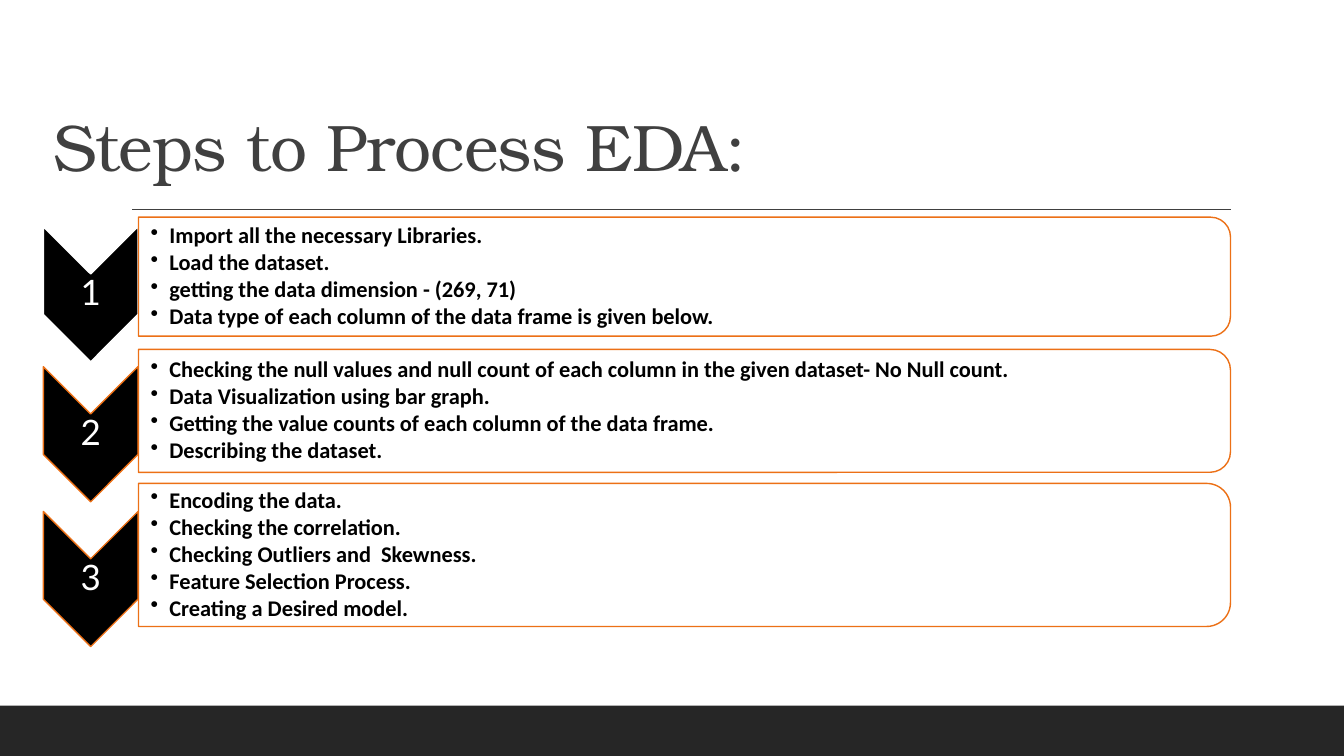
import pptx
import pptx.util
import pptx.dml.color
import pptx.enum.shapes
import pptx.enum.text
import pptx.oxml.ns
from lxml import etree

Pt = pptx.util.Pt
SHAPES = pptx.enum.shapes.MSO_SHAPE
ANCHOR = pptx.enum.text.MSO_ANCHOR
qn = pptx.oxml.ns.qn

COLORS = {name: pptx.dml.color.RGBColor.from_string(value) for name, value in {
    "white": "FFFFFF", "black": "000000", "gray": "404040",
    "footer": "262626", "orange": "EC7016"}.items()}

CHEVRON_X, CHEVRON_LENGTH, CHEVRON_WIDTH = 64.8, 96.5, 67.6
PANEL_LEFT, PANEL_WIDTH = 98.9, 780

# chevron centre, panel centre, panel height, chevron outline, bullets
STEPS = [
    (210.2, 197.6, 85, "white", [
        "Import all the necessary Libraries.",
        "Load the dataset.",
        "getting the data dimension - (269, 71)",
        "Data type of each column of the data frame is given below."]),
    (310.2, 293.5, 87.8, "orange", [
        "Checking the null values and null count of each column in the given dataset- No Null count.",
        "Data Visualization using bar graph.",
        "Getting the value counts of each column of the data frame.",
        "Describing the dataset."]),
    (413.6, 396.4, 102.2, "orange", [
        "Encoding the data.",
        "Checking the correlation.",
        "Checking Outliers and  Skewness.",
        "Feature Selection Process.",
        "Creating a Desired model."]),
]

deck = pptx.Presentation()
deck.slide_width, deck.slide_height = Pt(960), Pt(540)
page = deck.slides.add_slide(deck.slide_layouts[6])


def add_filled(kind, left, top, width, height, fill, line=None):
    shape = page.shapes.add_shape(kind, Pt(left), Pt(top), Pt(width), Pt(height))
    shape.shadow.inherit = False
    shape.fill.solid()
    shape.fill.fore_color.rgb = COLORS[fill]
    if line:
        shape.line.color.rgb = COLORS[line]
        shape.line.width = Pt(1)
    else:
        shape.line.fill.background()
    return shape


def add_text(left, top, width, height, lines, font, size, color, anchor, insets):
    """Add a text box with one paragraph per line; insets run left, top, right, bottom."""
    box = page.shapes.add_textbox(Pt(left), Pt(top), Pt(width), Pt(height))
    frame = box.text_frame
    frame.word_wrap = True
    frame.vertical_anchor = anchor
    frame.margin_left, frame.margin_top, frame.margin_right, frame.margin_bottom = map(Pt, insets)
    frame.text = "\n".join(lines)
    for para in frame.paragraphs:
        para.line_spacing = 0.9
        para.font.name = font
        para.font.size = Pt(size)
        para.font.color.rgb = COLORS[color]
    return frame.paragraphs


add_filled(SHAPES.RECTANGLE, 0, 504, 960, 36, "footer")

rule = page.shapes.add_connector(
    pptx.enum.shapes.MSO_CONNECTOR.STRAIGHT, Pt(94.5), Pt(149.5), Pt(879), Pt(149.5))
rule.line.color.rgb = COLORS["gray"]
rule.line.width = Pt(1)
etree.SubElement(rule._element.spPr, qn("a:effectLst"))

title = add_text(31, 19.4, 792, 116.6, ["Steps to Process EDA:"], "TeX Gyre Bonum", 47,
                 "gray", ANCHOR.BOTTOM, (7.2, 3.6, 7.2, 3.6))
title[0].runs[0].font._element.set("spc", "-50")

for number, (chevron_y, panel_y, panel_height, outline, bullets) in enumerate(STEPS, 1):
    chevron = add_filled(SHAPES.CHEVRON, CHEVRON_X - CHEVRON_LENGTH / 2,
                         chevron_y - CHEVRON_WIDTH / 2, CHEVRON_LENGTH, CHEVRON_WIDTH,
                         "black", outline)
    chevron.rotation = 90
    label = add_text(CHEVRON_X - CHEVRON_WIDTH / 2, chevron_y - 14.4, CHEVRON_WIDTH, 28.8,
                     [str(number)], "Lato", 25, "white", ANCHOR.MIDDLE, (1.4,) * 4)
    label[0].alignment = pptx.enum.text.PP_ALIGN.CENTER

    # Turned a quarter, so its own width is the height seen on the page
    panel = add_filled(SHAPES.ROUND_2_SAME_RECTANGLE,
                       PANEL_LEFT + (PANEL_WIDTH - panel_height) / 2,
                       panel_y - PANEL_WIDTH / 2, panel_height, PANEL_WIDTH,
                       "white", "orange")
    panel.rotation = 90
    tint = panel._element.spPr.find(qn("a:solidFill")).find(qn("a:srgbClr"))
    etree.SubElement(tint, qn("a:alpha"), val="90000")

    text_height = panel_height - 9
    for para in add_text(PANEL_LEFT, panel_y - text_height / 2, 775, text_height, bullets,
                         "Calibri", 16, "black", ANCHOR.MIDDLE, (8.64, 0.72, 0.72, 0.72)):
        para.font.bold = True
        para.space_after = Pt(2)
        properties = para._p.get_or_add_pPr()
        properties.set("marL", str(Pt(13.5)))
        properties.set("indent", str(Pt(-13.5)))
        bullet = etree.Element(qn("a:buChar"), char="•")
        properties.find(qn("a:defRPr")).addprevious(bullet)

deck.save("out.pptx")
